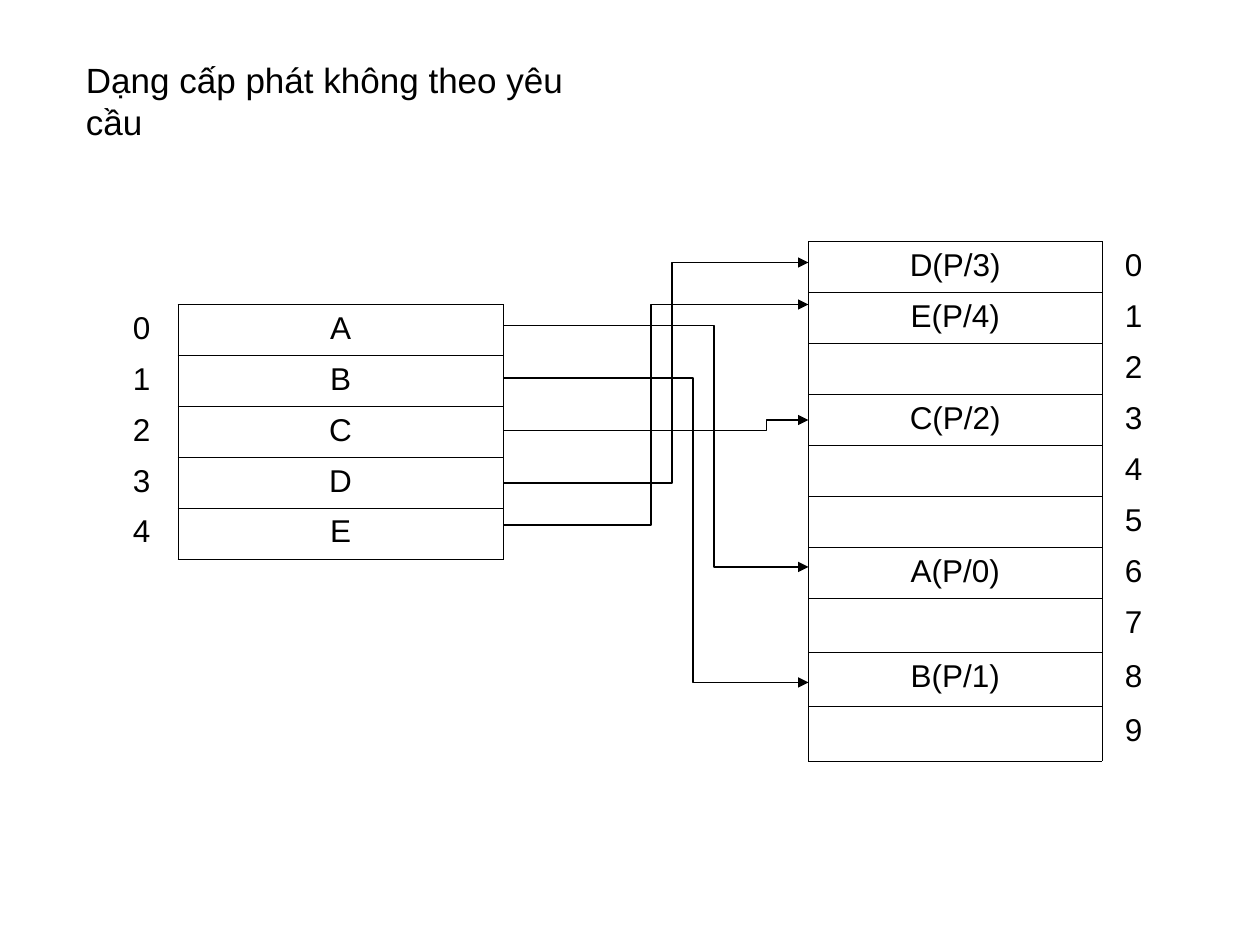
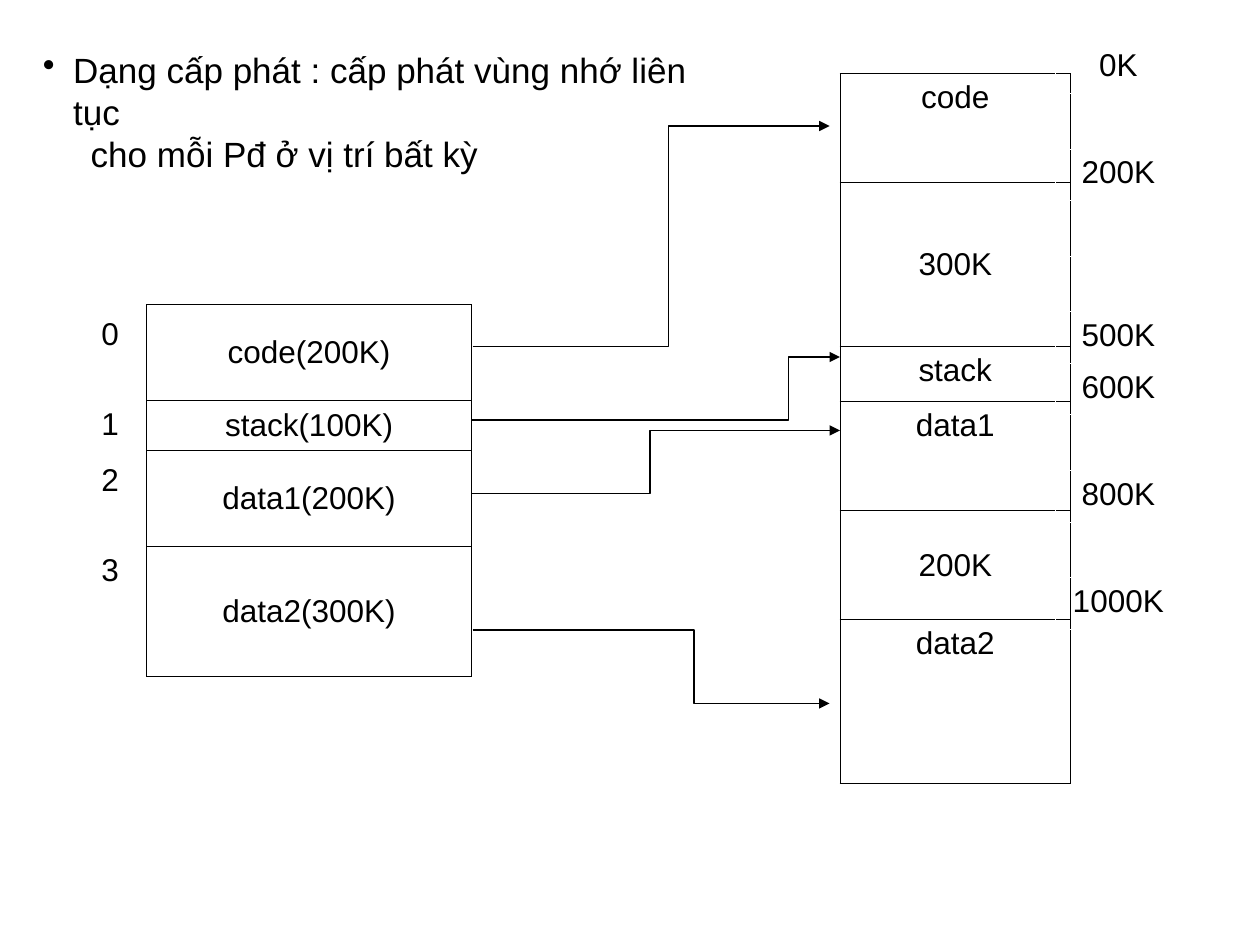
from pptx import Presentation
from pptx.dml.color import RGBColor
from pptx.enum.text import MSO_ANCHOR, PP_ALIGN
from pptx.oxml import parse_xml
from pptx.oxml.ns import nsdecls
from pptx.util import Inches, Pt

BLACK, WHITE = "000000", "FFFFFF"
TOP, MID = MSO_ANCHOR.TOP, MSO_ANCHOR.MIDDLE
BODY = {"name": "Arial", "size": Pt(18), "bold": False}
HEAD = {**BODY, "size": Pt(20)}
ALL = "LRTB"

deck = Presentation()
deck.slide_width, deck.slide_height = Inches(10), Inches(7.5)
unit = deck.slide_width // 120  # the slide is a grid of 120 columns by 90 rows
blank = deck.slide_layouts[6]


def style(run, form, ink=BLACK):
    for key, val in form.items():
        setattr(run.font, key, val)
    run.font.color.rgb = RGBColor.from_string(ink)


def grid(slide, x, y, cols, rows, texts, edges, ink=BLACK):
    """Table at grid point x, y; edges names the drawn borders of each column."""
    frame = slide.shapes.add_table(
        len(rows), len(cols), int(x * unit), int(y * unit), Inches(sum(cols)), Inches(sum(rows)))
    table = frame.table
    table.first_row = table.horz_banding = False
    for col, wide in zip(table.columns, cols):
        col.width = Inches(wide)
    for r, high in enumerate(rows):
        table.rows[r].height = Inches(high)
        for c, drawn in enumerate(edges):
            cell = table.cell(r, c)
            cell.fill.background()
            props = cell._tc.get_or_add_tcPr()
            for i, side in enumerate(ALL):
                paint = f'<a:solidFill><a:srgbClr val="{ink}"/></a:solidFill>'
                props.insert(i, parse_xml(
                    f'<a:ln{side} {nsdecls("a")} w="5715">'
                    f'{paint if side in drawn else "<a:noFill/>"}</a:ln{side}>'))
            para = cell.text_frame.paragraphs[0]
            para.alignment = PP_ALIGN.CENTER
            if texts[c][r]:
                run = para.add_run()
                run.text = texts[c][r]
                style(run, BODY)
    return table


# Slide 1: pages and frames
page = deck.slides.add_slide(blank)
rows = [2.83 / 7] * 7 + [0.43] * 3
used = {0: "D(P/3)", 1: "E(P/4)", 3: "C(P/2)", 6: "A(P/0)", 8: "B(P/1)"}
grid(page, 77, 23, [2.33, 0.5], rows,
     [[used.get(n) for n in range(10)], "0123456789"], [ALL, "L"])
grid(page, 10, 29, [0.58, 2.58], [2.02 / 5] * 5, ["01234", "ABCDE"], ["R", ALL])

# Slide 2: segments and memory
seg = deck.slides.add_slide(blank)
parts = [("code", 2, TOP), ("300K", 3, MID), ("stack", 1, TOP),
         ("data1", 2, TOP), ("200K", 2, MID), ("data2", 3, TOP)]
names = [t for name, span, _ in parts for t in [name] + [None] * (span - 1)]
count = len(names)
table = grid(seg, 80, 7, [1.83, 1], [5.64 / count] * count, [names, [None] * count], [ALL, "L"])
row = 0
for name, span, place in parts:
    cell = table.cell(row, 0)
    cell.vertical_anchor = place
    if span > 1:
        cell.merge(table.cell(row + span - 1, 0))
    row += span

sizes = ["code(200K)", "stack(100K)", "data1(200K)", "data2(300K)"]
table = grid(seg, 7, 29, [0.58, 2.58], [0.76, 0.4, 0.76, 1.03], ["0123", sizes], ["R", ALL])
for r, inset in enumerate([0.1, 0.05, 0.1, 0.05]):
    table.cell(r, 0).margin_top = Inches(inset)
    table.cell(r, 1).vertical_anchor = MID

# Address labels beside memory
marks = ["0K", None, "200K", None, None, "500K", "600K", None, "800K", None, "1000K"]
grid(seg, 100.5, 4, [1], [0.41 if m else 0.44 for m in marks], [marks], [ALL], WHITE)

# Elbow arrows: start row, bend column, end row, end column
bends = [
    (page, 48, [(31, 68, 54, 77), (36, 66, 65, 77), (41, 73, 40, 77),
                (46, 64, 25, 77), (50, 62, 29, 77)]),
    (seg, 45, [(60, 66.1, 67, 79), (40, 75.1, 34, 80),
               (33, 63.7, 12, 79), (47, 61.9, 41, 80)]),
]
for slide, left, routes in bends:
    for start, bend, stop, right in routes:
        pen = slide.shapes.build_freeform(left * unit, start * unit)
        pen.add_line_segments([(int(x * unit), y * unit) for x, y in
                               [(bend, start), (bend, stop), (right, stop)]], close=False)
        arrow = pen.convert_to_shape()
        arrow.shadow.inherit = False
        arrow.fill.background()
        arrow.line.color.rgb = RGBColor.from_string(BLACK)
        arrow.line.width = Pt(0.75)
        arrow.line._get_or_add_ln().append(
            parse_xml(f'<a:tailEnd {nsdecls("a")} type="triangle"/>'))

# Headings: box, then lines with bullet and left indent
heads = [
    (page, (7, 5, 54, 5.3), [("Dạng cấp phát không theo yêu cầu", False, 0)]),
    (seg, (2.9, 4, 67.3, 13), [("Dạng cấp phát : cấp phát vùng nhớ liên tục", True, 0.24),
                               ("cho mỗi Pđ ở vị trí bất kỳ", False, 0.38)]),
]
for slide, box, lines in heads:
    frame = slide.shapes.add_textbox(*[int(v * unit) for v in box]).text_frame
    frame.word_wrap = True
    for i, (text, dot, inset) in enumerate(lines):
        para = frame.add_paragraph() if i else frame.paragraphs[0]
        para.line_spacing = Pt(24)
        props = para._p.get_or_add_pPr()
        props.set("marL", str(Inches(inset)))
        if dot:
            props.set("indent", str(-Inches(inset)))
            props.append(parse_xml(f'<a:buChar {nsdecls("a")} char="•"/>'))
        run = para.add_run()
        run.text = text
        style(run, HEAD)

deck.save("out.pptx")
